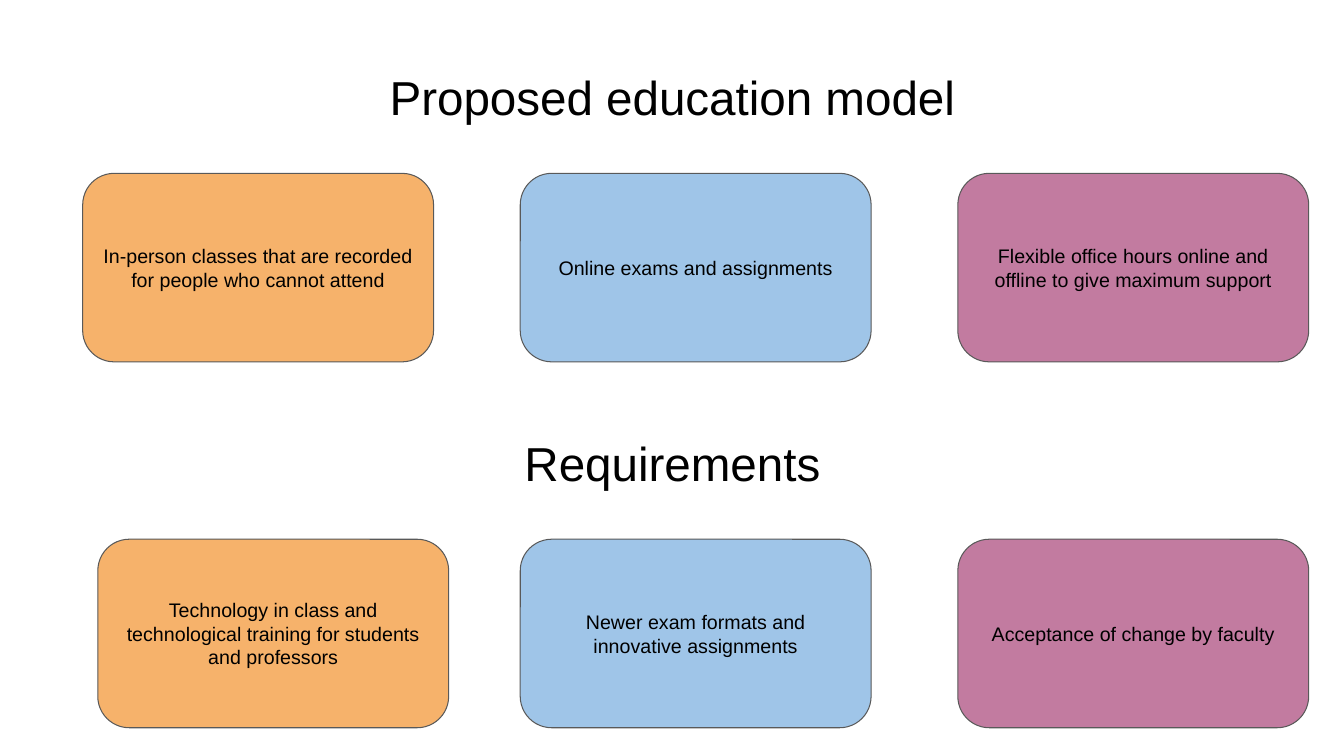
from pptx import Presentation
from pptx.dml.color import RGBColor
from pptx.enum.shapes import MSO_SHAPE
from pptx.enum.text import MSO_ANCHOR, PP_ALIGN
from pptx.util import Inches, Pt

ROUNDED = MSO_SHAPE.ROUNDED_RECTANGLE
MIDDLE = MSO_ANCHOR.MIDDLE
CENTER = PP_ALIGN.CENTER

COLORS = {
    "text": "000000",
    "outline": "595959",
    "orange": "F6B26B",
    "blue": "9FC5E8",
    "mauve": "C27BA0",
}
CARD_FILLS = ("orange", "blue", "mauve")
CARD_WIDTH, CARD_HEIGHT = 3.48, 1.87
HEADING_HEIGHT = 1.45

# Heading, top of the section, left edges of its cards, card texts
SECTIONS = [
    ("Proposed education model", 0.27, (0.82, 5.16, 9.5), (
        "In-person classes that are recorded for people who cannot attend",
        "Online exams and assignments",
        "Flexible office hours online and offline to give maximum support",
    )),
    ("Requirements", 3.9, (0.97, 5.16, 9.5), (
        "Technology in class and technological training for students and professors",
        "Newer exam formats and innovative assignments",
        "Acceptance of change by faculty",
    )),
]


def rgb(name):
    return RGBColor.from_string(COLORS[name])


def write_text(shape, text, *, size, margin_y, line_spacing=1.0):
    frame = shape.text_frame
    frame.word_wrap = True
    frame.vertical_anchor = MIDDLE
    frame.margin_left = frame.margin_right = Inches(0.1)
    frame.margin_top = frame.margin_bottom = Inches(margin_y)
    paragraph = frame.paragraphs[0]
    paragraph.alignment = CENTER
    paragraph.line_spacing = line_spacing
    run = paragraph.add_run()
    run.text = text
    run.font.name = "Arial"
    run.font.size = Pt(size)
    run.font.color.rgb = rgb("text")


def add_heading(slide, text, top):
    box = slide.shapes.add_textbox(
        Inches(0.92), Inches(top), Inches(11.5), Inches(HEADING_HEIGHT))
    write_text(box, text, size=34, margin_y=0.05, line_spacing=0.9)


def add_card(slide, text, left, top, fill):
    card = slide.shapes.add_shape(
        ROUNDED, Inches(left), Inches(top), Inches(CARD_WIDTH), Inches(CARD_HEIGHT))
    card.shadow.inherit = False
    card.fill.solid()
    card.fill.fore_color.rgb = rgb(fill)
    card.line.color.rgb = rgb("outline")
    card.line.width = Pt(0.75)
    write_text(card, text, size=14, margin_y=0.1)


def main():
    presentation = Presentation()
    presentation.slide_width = Inches(13.33)
    presentation.slide_height = Inches(7.5)
    slide = presentation.slides.add_slide(presentation.slide_layouts[6])

    # Each section: a heading with a row of cards right below it
    for heading, top, lefts, texts in SECTIONS:
        add_heading(slide, heading, top)
        for text, left, fill in zip(texts, lefts, CARD_FILLS):
            add_card(slide, text, left, top + HEADING_HEIGHT, fill)

    presentation.save("out.pptx")


if __name__ == "__main__":
    main()
